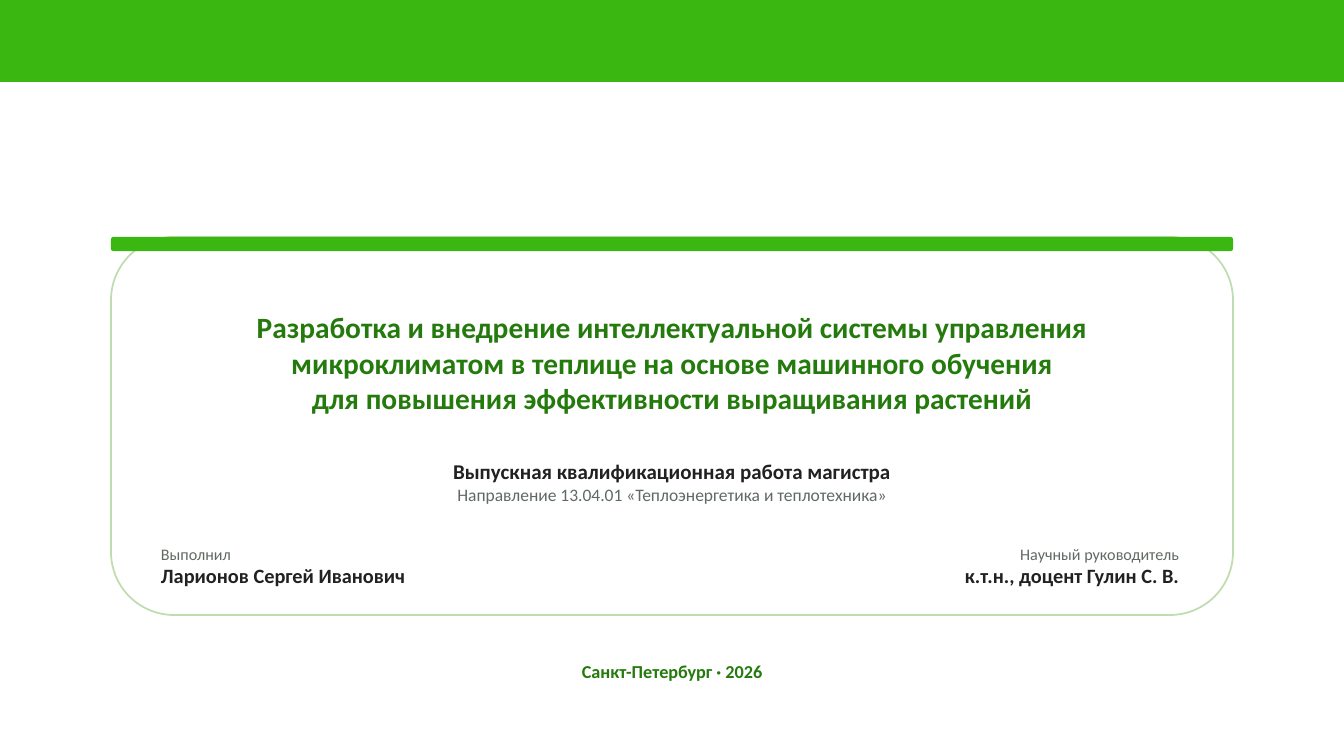
import pptx
import pptx.util
import pptx.dml.color
import pptx.enum.shapes
import pptx.enum.text

COLORS = {"green": "3AB711", "dark_green": "247A0C", "outline": "BFDDB0",
          "white": "FFFFFF", "ink": "212121", "gray": "606A62"}
FONT = "Calibri"

TITLE = [(line, 21, "dark_green", True) for line in (
    "Разработка и внедрение интеллектуальной системы управления",
    "микроклиматом в теплице на основе машинного обучения",
    "для повышения эффективности выращивания растений")]
SUBTITLE = [("Выпускная квалификационная работа магистра", 15, "ink", True),
            ("Направление 13.04.01 «Теплоэнергетика и теплотехника»", 12.5, "gray", False)]
PEOPLE = [("Выполнил", "Ларионов Сергей Иванович", "LEFT"),
          ("Научный руководитель", "к.т.н., доцент Гулин С. В.", "RIGHT")]
CITY = [("Санкт-Петербург · 2026", 13, "dark_green", True)]

SLIDE_W, SLIDE_H = 1344, 756
CARD_X, CARD_Y, CARD_H = 111, 237, 378
CARD_W = SLIDE_W - 2 * CARD_X
TEXT_X = 151
TEXT_W = SLIDE_W - 2 * TEXT_X
PERSON_X, PERSON_W, PERSON_STEP = 161, 504, 514
SCALE = pptx.util.Inches(1) / 100.8


def px(*values):
    return [round(v * SCALE) for v in values]


def rgb(name):
    return pptx.dml.color.RGBColor.from_string(COLORS[name])


def add_block(s, kind, box, fill, line=None):
    shape_type = getattr(pptx.enum.shapes.MSO_SHAPE, kind)
    sp = s.shapes.add_shape(shape_type, *px(*box))
    sp.shadow.inherit = False
    sp.fill.solid()
    sp.fill.fore_color.rgb = rgb(fill)
    if line:
        sp.line.color.rgb = rgb(line)
        sp.line.width = pptx.util.Pt(1.25)
    else:
        sp.line.fill.background()


def write_text(sp, lines, box, align="CENTER", anchor="TOP"):
    sp.left, sp.top, sp.width, sp.height = px(*box)
    tf = sp.text_frame
    tf.word_wrap = True
    tf.auto_size = pptx.enum.text.MSO_AUTO_SIZE.NONE
    tf.vertical_anchor = getattr(pptx.enum.text.MSO_ANCHOR, anchor)
    tf.margin_left = tf.margin_right = tf.margin_top = tf.margin_bottom = 0
    for i, (text, size, color, bold) in enumerate(lines):
        p = tf.add_paragraph() if i else tf.paragraphs[0]
        p.alignment = getattr(pptx.enum.text.PP_ALIGN, align)
        p.space_before = pptx.util.Pt(0)
        r = p.add_run()
        r.text = text
        r.font.name = FONT
        r.font.size = pptx.util.Pt(size)
        r.font.bold = bold
        r.font.color.rgb = rgb(color)


def main():
    prs = pptx.Presentation()
    prs.slide_width, prs.slide_height = px(SLIDE_W, SLIDE_H)
    s = prs.slides.add_slide(prs.slide_layouts[0])
    s.background.fill.solid()
    s.background.fill.fore_color.rgb = rgb("white")
    title, subtitle = s.placeholders

    add_block(s, "RECTANGLE", (0, 0, SLIDE_W, 82), "green")
    add_block(s, "ROUNDED_RECTANGLE", (CARD_X, CARD_Y, CARD_W, CARD_H), "white", "outline")
    add_block(s, "ROUNDED_RECTANGLE", (CARD_X, CARD_Y, CARD_W, 14), "green")

    for sp in (title, subtitle):
        s.shapes.element.append(sp.element)
    write_text(title, TITLE, (TEXT_X, 277, TEXT_W, 171), anchor="MIDDLE")
    write_text(subtitle, SUBTITLE, (TEXT_X, 459, TEXT_W, 60))

    for i, (role, name, align) in enumerate(PEOPLE):
        box = (PERSON_X + i * PERSON_STEP, 544, PERSON_W, 60)
        lines = [(role, 11.5, "gray", False), (name, 14.5, "ink", True)]
        write_text(s.shapes.add_textbox(*px(*box)), lines, box, align)

    box = (TEXT_X, 660, TEXT_W, 40)
    write_text(s.shapes.add_textbox(*px(*box)), CITY, box)
    prs.save("out.pptx")


if __name__ == "__main__":
    main()
